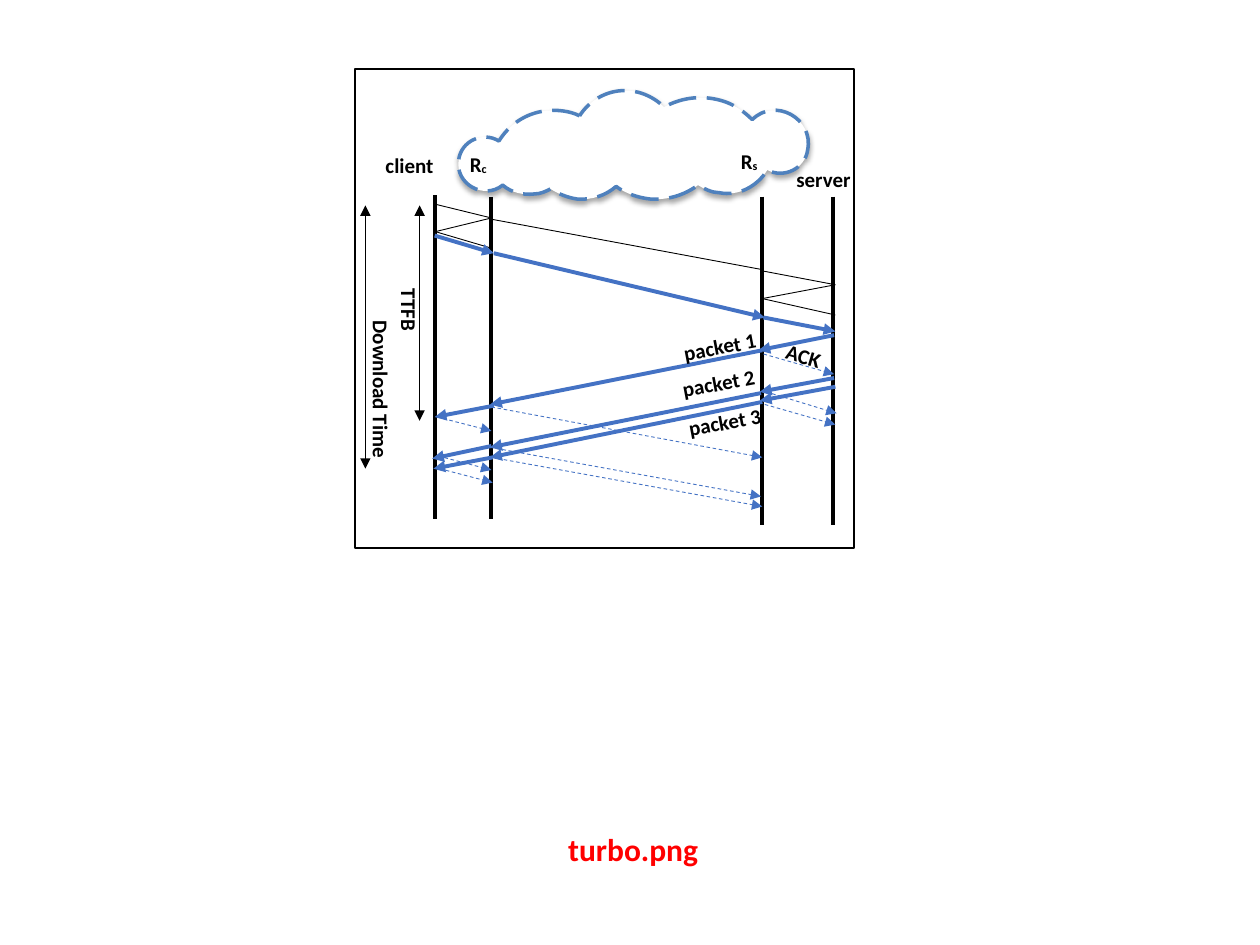
from pptx import Presentation
from pptx.dml.color import RGBColor
from pptx.enum.dml import MSO_LINE
from pptx.enum.shapes import MSO_CONNECTOR as Conn, MSO_SHAPE as Shape
from pptx.enum.text import MSO_AUTO_SIZE as Auto, PP_ALIGN as Align
from pptx.oxml import parse_xml
from pptx.oxml.ns import nsdecls, qn
from pptx.util import Pt

PX = 9144  # 100 px to the inch
FONT = "Calibri"
COLORS = {"ink": "000000", "flow": "4472C4", "cloud": "4F81BD",
          "paper": "FFFFFF", "red": "FF0000"}

# Line styles: colour, width, dashed, head at start, head at end
STYLES = {
    "span": ("ink", 1, False, True, True),
    "life": ("ink", 2.25, False, False, False),
    "shake": ("ink", 0.5, False, False, False),
    "ack": ("flow", 0.5, True, False, True),
    "data": ("flow", 2.25, False, False, True),
}
# Lines by style: x1, y1, x2, y2
LINES = {
    "span": [(333, 163, 333, 334), (290, 163, 290, 372)],
    "life": [(345, 155, 345, 412), (390, 156, 390, 412),
             (605, 156, 605, 417), (661, 156, 661, 417)],
    "shake": [(345, 162, 390, 173), (390, 173, 345, 184), (346, 184, 390, 197),
              (390, 174, 605, 214),
              (605, 215, 663, 226), (663, 226, 605, 237), (605, 237, 663, 250)],
    "ack": [(606, 281, 662, 297), (608, 311, 664, 328), (607, 321, 663, 337),
            (390, 323, 605, 363), (389, 355, 604, 394), (390, 363, 605, 402),
            (347, 331, 390, 342), (348, 362, 390, 373), (349, 372, 391, 383)],
    "data": [(662, 266, 602, 278), (662, 300, 603, 311), (663, 307, 603, 318),
             (605, 278, 389, 321), (604, 312, 389, 355), (605, 319, 389, 363),
             (392, 322, 345, 331), (390, 354, 343, 364), (391, 363, 344, 372),
             (345, 187, 392, 201), (392, 201, 607, 252), (606, 252, 663, 263)],
}
# Labels: text, subscript, left, top, width, height, turn
LABELS = [
    ("R", "c", 368, 115, 27, 29, 0),
    ("R", "s", 583, 113, 26, 29, 0),
    ("server", "", 627, 127, 61, 29, 0),
    ("client", "", 301, 116, 56, 29, 0),
    ("ACK", "", 619, 268, 42, 29, 16.3),
    ("packet 1", "", 537, 259, 79, 29, 349.3),
    ("packet 2", "", 536, 288, 79, 29, 349.3),
    ("packet 3", "", 541, 319, 79, 29, 349.3),
    ("TTFB", "", 300, 235, 51, 29, 90),
]
# Cloud: frame, start, then two controls and an end for each curve
CLOUD = (364, 72, 278, 86)
START = (460, 92)
CURVES = [
    (452, 88, 442, 87, 433, 88), (417, 90, 404, 99, 396, 112),
    (383, 104, 366, 112, 364, 127), (361, 146, 384, 159, 399, 147),
    (406, 153, 415, 155, 424, 154), (429, 154, 433, 152, 437, 150),
    (443, 154, 451, 157, 458, 158), (470, 159, 481, 155, 489, 148),
    (497, 154, 507, 157, 516, 158), (530, 159, 543, 155, 554, 147),
    (559, 150, 565, 153, 571, 153), (586, 156, 601, 148, 609, 135),
    (622, 142, 639, 134, 641, 119), (646, 94, 615, 77, 597, 95),
    (591, 89, 584, 84, 576, 81), (559, 75, 542, 77, 527, 85),
    (518, 76, 505, 71, 493, 72), (479, 73, 467, 81, 460, 92),
]

prs = Presentation()
prs.slide_width, prs.slide_height = 1000 * PX, 750 * PX
slide = prs.slides.add_slide(prs.slide_layouts[6])
shapes = slide.shapes


def rgb(name):
    return RGBColor.from_string(COLORS[name])


def scale(values):
    return [v * PX for v in values]


def add_line(style, ends):
    color, width, dashed, head, tail = STYLES[style]
    item = shapes.add_connector(Conn.STRAIGHT, *scale(ends))
    item.line.color.rgb = rgb(color)
    item.line.width = Pt(width)
    if dashed:
        item.line.dash_style = MSO_LINE.DASH
    ln = item.line._get_or_add_ln()
    for tag, shown in (("headEnd", head), ("tailEnd", tail)):
        if shown:
            ln.append(parse_xml(f'<a:{tag} {nsdecls("a")} type="triangle"/>'))
    item._element.spPr.append(parse_xml(f'<a:effectLst {nsdecls("a")}/>'))


def add_text(text, sub, left, top, wide, high, turn=0, size=12, color="ink",
             wrap=False, align=Align.LEFT):
    box = shapes.add_textbox(*scale((left, top, wide, high)))
    box.rotation = turn
    frame = box.text_frame
    frame.word_wrap = wrap
    frame.auto_size = Auto.SHAPE_TO_FIT_TEXT
    frame.margin_left = frame.margin_right = 5 * PX
    frame.margin_top = frame.margin_bottom = 5 * PX
    para = frame.paragraphs[0]
    para.alignment = align
    for part, base in ((text, 0), (sub, -6000)):
        if part:
            run = para.add_run()
            run.text = part
            font = run.font
            font.name, font.size, font.bold = FONT, Pt(size), True
            font.color.rgb = rgb(color)
            if base:
                run._r.get_or_add_rPr().set("baseline", str(base))


def add_cloud():
    """A freeform through the joints, its sides then bent into curves."""
    left, top, wide, high = CLOUD
    pen = shapes.build_freeform(*START, scale=PX)
    pen.add_line_segments([curve[4:] for curve in CURVES], close=True)
    cloud = pen.convert_to_shape()
    cloud.left, cloud.top, cloud.width, cloud.height = scale(CLOUD)
    outline = next(cloud._element.iter(qn("a:path")))
    outline.set("w", str(wide * PX))
    outline.set("h", str(high * PX))

    def dots(values):
        return "".join(f'<a:pt x="{(x - left) * PX}" y="{(y - top) * PX}"/>'
                       for x, y in zip(values[::2], values[1::2]))

    steps = [("moveTo", START)] + [("cubicBezTo", curve) for curve in CURVES]
    for old in list(outline):
        outline.remove(old)
    for tag, values in steps + [("close", ())]:
        outline.append(parse_xml(
            f'<a:{tag} {nsdecls("a")}>{dots(values)}</a:{tag}>'))

    cloud.fill.solid()
    cloud.fill.fore_color.rgb = rgb("paper")
    cloud.line.color.rgb = rgb("cloud")
    cloud.line.width = Pt(2)
    cloud.line.dash_style = MSO_LINE.LONG_DASH
    cloud._element.spPr.append(parse_xml(
        f'<a:effectLst {nsdecls("a")}><a:outerShdw blurRad="38100" dist="22860" '
        'dir="5400000" rotWithShape="0"><a:srgbClr val="000000">'
        '<a:alpha val="35000"/></a:srgbClr></a:outerShdw></a:effectLst>'))


add_cloud()

# Timelines and messages
for style, group in LINES.items():
    for ends in group:
        add_line(style, ends)

# Labels
for label in LABELS:
    add_text(*label)
add_text("Download Time", "", 200, 294, 205, 30, 90,
         wrap=True, align=Align.CENTER)

# Border and caption
border = shapes.add_shape(Shape.RECTANGLE, *scale((282, 55, 396, 380)))
border.shadow.inherit = False
border.fill.background()
border.line.color.rgb = rgb("ink")
border.line.width = Pt(1)
add_text("turbo.png", "", 446, 654, 114, 40, size=18, color="red")

prs.save("out.pptx")
